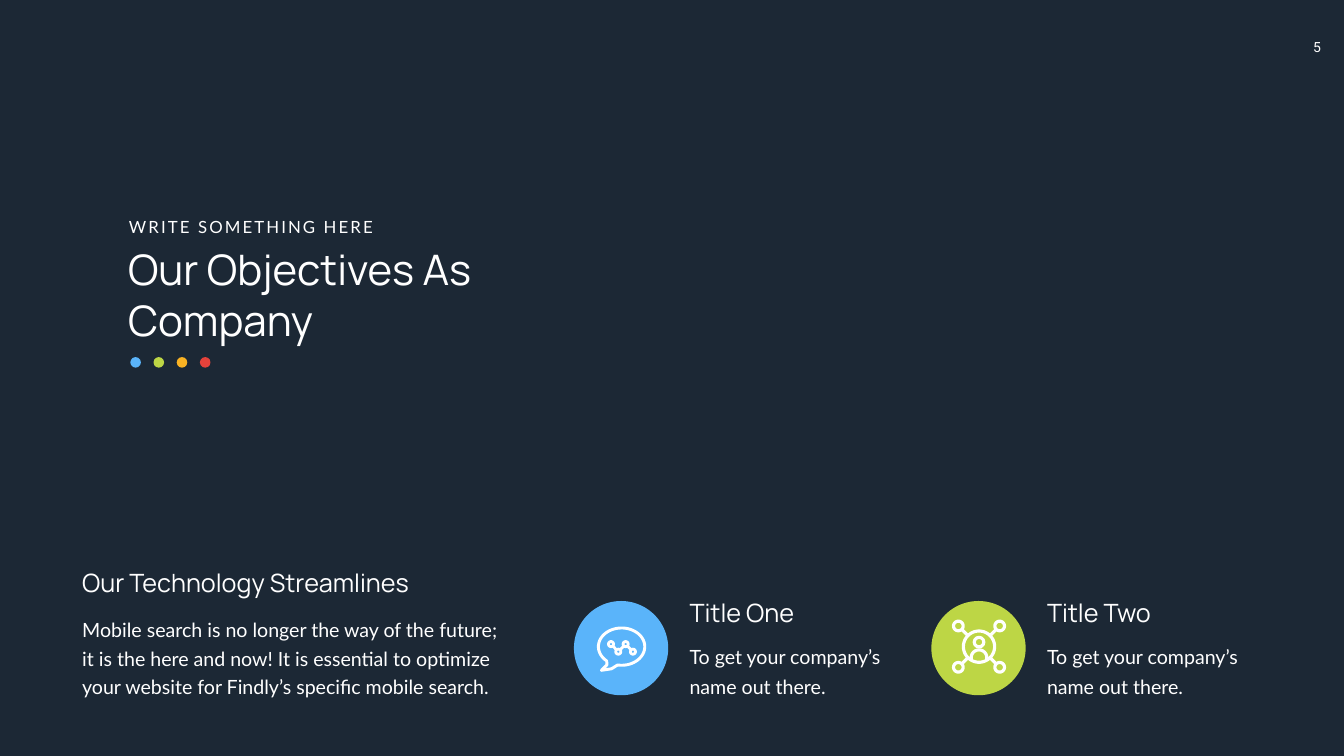
from dataclasses import dataclass
from itertools import pairwise, product
from math import cos, radians, sin

from lxml import etree
from pptx import Presentation
from pptx.dml.color import RGBColor
from pptx.enum.shapes import MSO_SHAPE as Preset
from pptx.enum.text import MSO_ANCHOR, MSO_AUTO_SIZE, PP_ALIGN
from pptx.oxml.ns import qn
from pptx.util import Inches, Pt

NAVY, WHITE = "1C2835", "FFFFFF"
BLUE, GREEN, AMBER, RED = "5AB4FA", "BDD645", "FAB323", "E5423B"

HEADING = {"name": "Manrope", "size": Pt(36)}
TITLE = {"name": "Manrope", "size": Pt(60)}
BODY = {"name": "Lato", "size": Pt(28)}
KICKER = {"name": "Lato", "size": Pt(24)}
NUMBER = {"name": "Roboto", "size": Pt(20)}


@dataclass
class Box:
    left: float
    top: float
    width: float
    height: float

    def lengths(self) -> list:
        return [Inches(v) for v in (self.left, self.top, self.width, self.height)]


@dataclass
class Feature:
    left: float
    title: str
    text: str
    color: str


def rgb(value: str) -> RGBColor:
    return RGBColor.from_string(value)


def write(shape, text: str, font: dict, spacing=None, align=PP_ALIGN.LEFT, wrap=True):
    """Fill a text box or placeholder with one formatted paragraph."""
    frame = shape.text_frame
    frame.text = text
    frame_format = {"word_wrap": wrap, "auto_size": MSO_AUTO_SIZE.NONE,
                    "vertical_anchor": MSO_ANCHOR.TOP}
    for key, value in frame_format.items():
        setattr(frame, key, value)
    paragraph = frame.paragraphs[0]
    paragraph.alignment = align
    paragraph.space_before = Pt(0)
    if spacing:
        paragraph.line_spacing = Pt(spacing)
    run_font = paragraph.runs[0].font
    for key, value in font.items():
        setattr(run_font, key, value)
    run_font.color.rgb = rgb(WHITE)
    return paragraph


def add_text(slide, box: Box, text: str, font: dict, **options):
    return write(slide.shapes.add_textbox(*box.lengths()), text, font, **options)


def place(shape, box: Box) -> None:
    for key, value in zip(("left", "top", "width", "height"), box.lengths()):
        setattr(shape, key, value)


def paint(shape, fill: str | None = None, stroke: float = 0):
    """Give a shape a plain fill, or a white outline of the given points."""
    shape.shadow.inherit = False
    if fill:
        shape.fill.solid()
        shape.fill.fore_color.rgb = rgb(fill)
    else:
        shape.fill.background()
    if stroke:
        shape.line.color.rgb = rgb(WHITE)
        shape.line.width = Pt(stroke)
    else:
        shape.line.fill.background()
    return shape


def add_circle(slide, x: float, y: float, size: float, **look):
    box = Box(x - size / 2, y - size / 2, size, size)
    return paint(slide.shapes.add_shape(Preset.OVAL, *box.lengths()), **look)


def arc(x: float, y: float, rx: float, ry: float, first: int, last: int) -> list:
    return [(x + rx * cos(radians(a)), y + ry * sin(radians(a)))
            for a in range(first, last + 1, 6)]


def ring(x: float, y: float, radius: float) -> list:
    return arc(x, y, radius, radius, 0, 360)


def add_outline(slide, contours: list, stroke: float) -> None:
    """Draw several stroked contours as one shape."""
    lines = [[(Inches(x), Inches(y)) for x, y in contour] for contour in contours]
    builder = slide.shapes.build_freeform(*lines[0][0])
    for i, (start, *rest) in enumerate(lines):
        if i:
            builder.move_to(*start)
        builder.add_line_segments(rest, close=start == rest[-1])
    paint(builder.convert_to_shape(), stroke=stroke)


def draw_chat_icon(slide, x: float, y: float) -> None:
    """Speech bubble holding a zigzag of nodes."""
    bubble = arc(x, y, 0.46, 0.37, 130, 461)
    tail = [(x - 0.2, y + 0.44), (x - 0.4, y + 0.47), (x - 0.29, y + 0.36)]
    add_outline(slide, [bubble + tail + bubble[:1]], 4.2)
    nodes = [(x - 0.21 + 0.145 * i, y + (0.1 if i % 2 else -0.05)) for i in range(4)]
    links = []
    for (x1, y1), (x2, y2) in pairwise(nodes):
        inset = 0.04 if y2 > y1 else -0.04
        links.append([(x1 + 0.04, y1 + inset), (x2 - 0.04, y2 - inset)])
    add_outline(slide, [ring(*node, 0.05) for node in nodes] + links, 4)


def draw_network_icon(slide, x: float, y: float) -> None:
    """Person in a ring linked to four outer nodes."""
    add_circle(slide, x, y - 0.09, 0.19, stroke=4.5)
    shoulders = arc(x, y + 0.22, 0.155, 0.155, 180, 360)
    contours = [ring(x, y, 0.31),
                [(x - 0.155, y + 0.26), *shoulders, (x + 0.155, y + 0.26)]]
    for dx, dy in product((-1, 1), repeat=2):
        contours.append(ring(x + 0.41 * dx, y + 0.41 * dy, 0.095))
        contours.append([(x + r * dx, y + r * dy) for r in (0.22, 0.34)])
    add_outline(slide, contours, 4.5)


def add_feature(slide, feature: Feature, draw_icon) -> None:
    text_left = feature.left + 2.19
    add_text(slide, Box(text_left, 12.62, 4.15, 1.25), feature.text, BODY, spacing=43)
    add_text(slide, Box(text_left, 11.81, 4.15, 0.71), feature.title, HEADING)
    center = feature.left + 0.93
    add_circle(slide, center, 12.86, 1.87, fill=feature.color)
    draw_icon(slide, center + 0.01, 12.83)


def main() -> None:
    deck = Presentation()
    deck.slide_width, deck.slide_height = Inches(26.66), Inches(15)
    slide = deck.slides.add_slide(deck.slide_layouts[1])
    slide.background.fill.solid()
    slide.background.fill.fore_color.rgb = rgb(NAVY)
    title, summary = slide.placeholders

    # Translucent panel behind the title
    panel = paint(slide.shapes.add_shape(
        Preset.RECTANGLE, *Box(1.53, 1.13, 11, 9.27).lengths()), NAVY)
    tint = panel.element.spPr.find(f"{qn('a:solidFill')}/{qn('a:srgbClr')}")
    etree.SubElement(tint, qn("a:alpha"), val="80000")
    title.element.addprevious(panel.element)

    # Title block
    place(title, Box(2.44, 4.79, 7.35, 2.12))
    write(title, "Our Objectives As Company", TITLE)
    kicker = add_text(slide, Box(2.46, 4.26, 5.14, 0.5), "WRITE SOMETHING HERE",
                      KICKER, wrap=False)
    kicker.runs[0].font._element.set("spc", "300")
    for i, color in enumerate((BLUE, GREEN, AMBER, RED)):
        add_circle(slide, 2.69 + 0.46 * i, 7.19, 0.21, fill=color)

    # Summary
    add_text(slide, Box(1.53, 11.24, 7.4, 0.68), "Our Technology Streamlines",
             HEADING, spacing=40.8)
    place(summary, Box(1.53, 12.11, 8.64, 1.77))
    paragraph = write(
        summary, "Mobile search is no longer the way of the future; it is the here "
        "and now! It is essential to optimize your website for Findly’s specific "
        "mobile search.", BODY, spacing=40.8)
    properties = paragraph._p.get_or_add_pPr()
    properties.set("marL", "0")
    properties.set("indent", "0")
    etree.SubElement(properties, qn("a:buNone"))

    # Features
    pitch = "To get your company’s name out there."
    add_feature(slide, Feature(11.39, "Title One", pitch, BLUE), draw_chat_icon)
    add_feature(slide, Feature(18.48, "Title Two", pitch, GREEN), draw_network_icon)

    # Page number
    add_text(slide, Box(25.62, 0.71, 1.01, 0.54), "5", NUMBER, align=PP_ALIGN.CENTER)

    deck.save("out.pptx")


if __name__ == "__main__":
    main()
